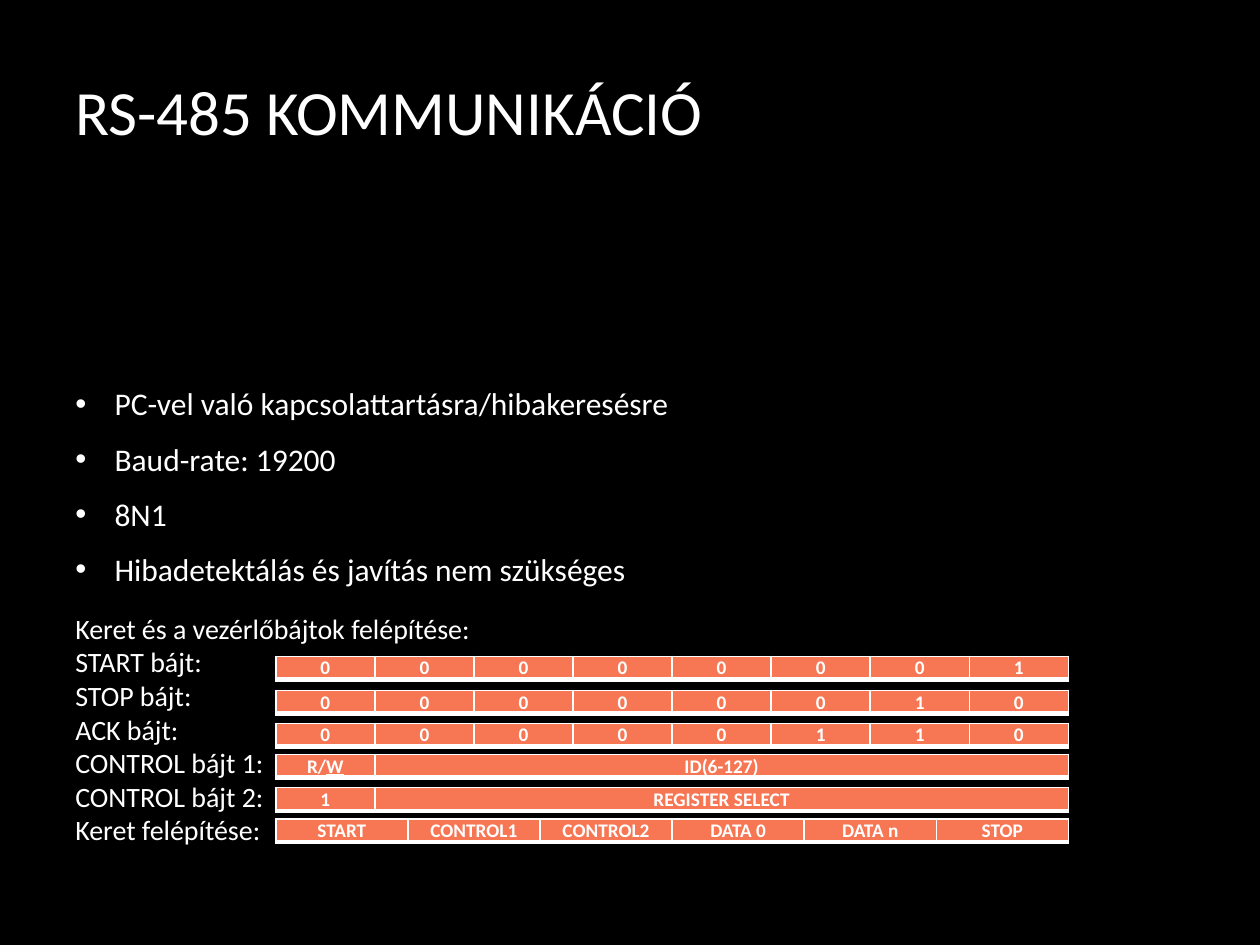
from lxml.etree import SubElement
from pptx import Presentation
from pptx.dml.color import RGBColor
from pptx.enum.text import MSO_ANCHOR, MSO_AUTO_SIZE, PP_ALIGN
from pptx.oxml.ns import qn
from pptx.util import Cm, Pt

COLORS = {"background": "000000", "text": "FFFFFF", "cell": "F77754", "border": "FFFFFF"}
FONT = "Calibri"

BULLETS = [
    "PC-vel való kapcsolattartásra/hibakeresésre",
    "Baud-rate: 19200",
    "8N1",
    "Hibadetektálás és javítás nem szükséges",
]
LABELS = [
    "Keret és a vezérlőbájtok felépítése:",
    "START bájt:",
    "STOP bájt:",
    "ACK bájt:",
    "CONTROL bájt 1:",
    "CONTROL bájt 2:",
    "Keret felépítése:",
]
# Offset from the top of the frame area, column weights, cells as runs (text, underlined)
FRAMES = [
    (1.06, [1] * 8, [[(bit, False)] for bit in "00000001"]),
    (1.75, [1] * 8, [[(bit, False)] for bit in "00000010"]),
    (2.41, [1] * 8, [[(bit, False)] for bit in "00000110"]),
    (3.04, [1, 7], [[("R/", False), ("W", True)], [("ID(6-127)", False)]]),
    (3.71, [1, 7], [[("1", False)], [("REGISTER SELECT", False)]]),
    (4.34, [1] * 6, [[(name, False)] for name in
                     ("START", "CONTROL1", "CONTROL2", "DATA 0", "DATA n", "STOP")]),
]


def color(name):
    return RGBColor.from_string(COLORS[name])


def add_run(p, text, size, bold=False, underline=False):
    r = p.add_run()
    r.text = text
    r.font.name = FONT
    r.font.size = Pt(size)
    r.font.bold = bold
    r.font.underline = underline
    r.font.color.rgb = color("text")


def add_bullet(p, indent):
    pPr = p._p.get_or_add_pPr()
    pPr.set("marL", str(indent))
    pPr.set("indent", str(-indent))
    SubElement(SubElement(pPr, qn("a:buClr")), qn("a:srgbClr"), val=COLORS["text"])
    SubElement(pPr, qn("a:buFont"), typeface="Arial")
    SubElement(pPr, qn("a:buChar"), char="•")


def add_text(s, box, lines, size, wrap=True, align=None, space_after=None, indent=None):
    """Add a vertically centred text box with one paragraph per line."""
    sp = s.shapes.add_textbox(*[Cm(v) for v in box])
    tf = sp.text_frame
    tf.word_wrap = wrap
    tf.vertical_anchor = MSO_ANCHOR.MIDDLE
    for i, line in enumerate(lines):
        p = tf.paragraphs[0] if i == 0 else tf.add_paragraph()
        p.alignment = align
        if space_after is not None:
            p.space_after = Pt(space_after)
        if indent is not None:
            add_bullet(p, Cm(indent))
        add_run(p, line, size)
    return tf


def add_borders(cell):
    tcPr = cell._tc.get_or_add_tcPr()
    for i, (side, width) in enumerate((("L", 1), ("R", 1), ("T", 1), ("B", 3))):
        ln = tcPr.makeelement(qn(f"a:ln{side}"), {"w": str(Pt(width))})
        fill = SubElement(ln, qn("a:solidFill"))
        SubElement(fill, qn("a:srgbClr"), val=COLORS["border"])
        tcPr.insert(i, ln)


def add_frame(s, box, weights, cells):
    """Add a one-row table whose columns share the width by weight."""
    left, top, width, height = box
    table = s.shapes.add_table(1, len(cells), Cm(left), Cm(top), Cm(width), Cm(height)).table
    for i, (weight, runs) in enumerate(zip(weights, cells)):
        table.columns[i].width = Cm(width * weight / sum(weights))
        cell = table.cell(0, i)
        cell.fill.solid()
        cell.fill.fore_color.rgb = color("cell")
        cell.margin_left = cell.margin_right = Cm(0.18)
        cell.margin_top = cell.margin_bottom = 0
        add_borders(cell)
        p = cell.text_frame.paragraphs[0]
        p.alignment = PP_ALIGN.CENTER
        for text, underline in runs:
            add_run(p, text, 11, bold=True, underline=underline)


def add_title(s, box):
    add_text(s, box, ["RS-485 KOMMUNIKÁCIÓ"], 36)


def add_bullets(s, box):
    add_text(s, box, BULLETS, 18, space_after=10, indent=0.79)


def add_frame_area(s, box):
    """Add the byte labels at the left and the frame tables beside them."""
    left, top, width, height = box
    label_width, table_left = 8.59, 4.29
    for offset, weights, cells in FRAMES:
        add_frame(s, (left + table_left, top + offset, width - table_left, 0.46), weights, cells)
    tf = add_text(s, (left, top, label_width, height), LABELS, 16,
                  wrap=False, align=PP_ALIGN.JUSTIFY)
    tf.auto_size = MSO_AUTO_SIZE.SHAPE_TO_FIT_TEXT


def main():
    prs = Presentation()
    prs.slide_width, prs.slide_height = Cm(25.4), Cm(19.05)
    s = prs.slides.add_slide(prs.slide_layouts[6])
    s.background.fill.solid()
    s.background.fill.fore_color.rgb = color("background")
    add_title(s, (1.27, 0.2, 21.59, 4.04))
    add_bullets(s, (1.27, 3.12, 21.59, 13.36))
    add_frame_area(s, (1.27, 12.17, 20.27, 5.05))
    prs.save("out.pptx")


if __name__ == "__main__":
    main()
